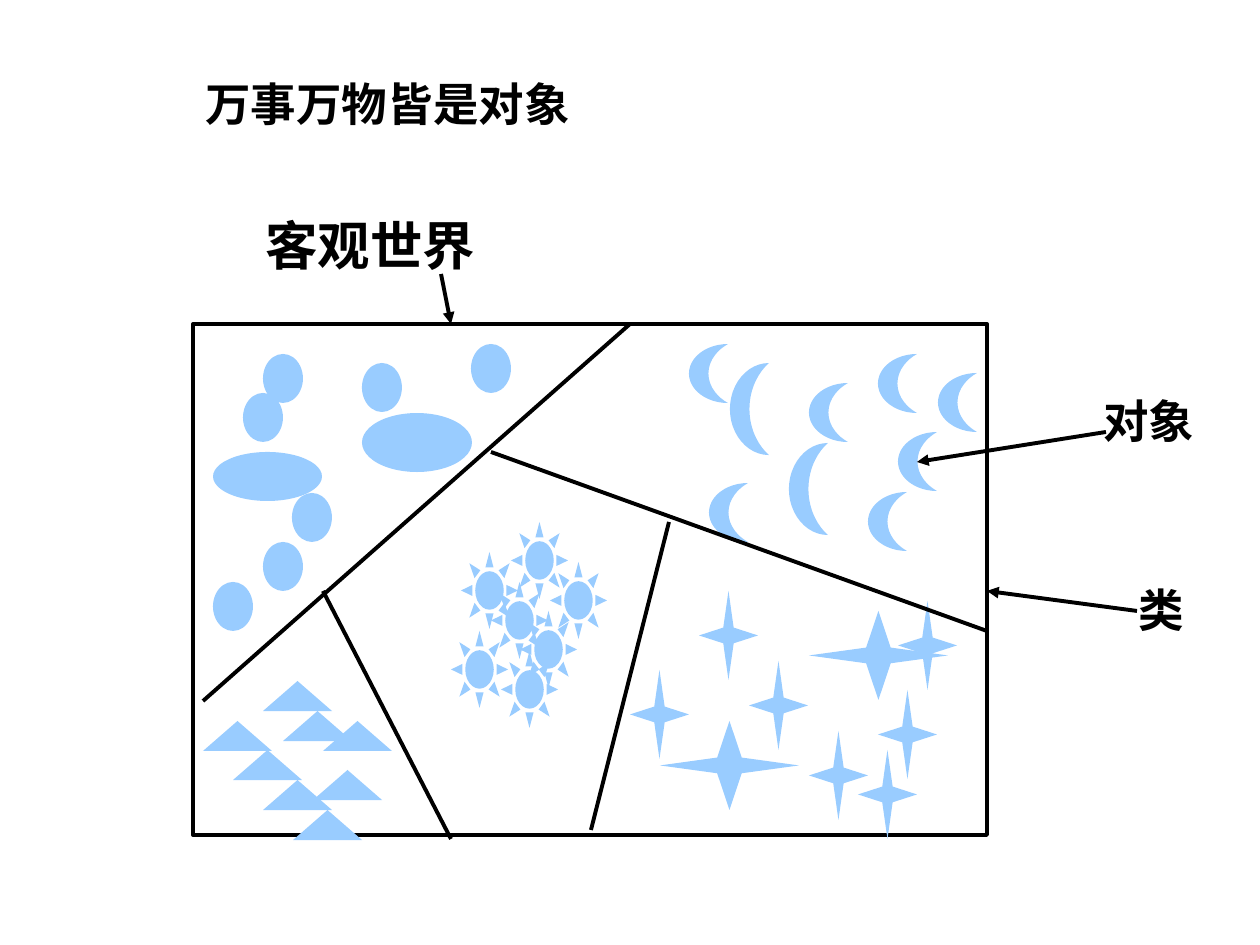
"""Build a slide that sorts the objects of the world into classes."""
from lxml.etree import SubElement
from pptx import Presentation
from pptx.dml.color import RGBColor
from pptx.enum.shapes import MSO_CONNECTOR as Connector, MSO_SHAPE as Shape
from pptx.enum.text import MSO_AUTO_SIZE as AutoSize
from pptx.oxml.ns import qn
from pptx.util import Pt

EMU_PER_PX = 914400 / 126
BLACK = "000000"
SKY = "99CCFF"


def px(*lengths):
    return [round(length * EMU_PER_PX) for length in lengths]


def paint(color_format, color):
    color_format.rgb = RGBColor.from_string(color)


deck = Presentation()
deck.slide_width, deck.slide_height = px(1260, 945)
slide = deck.slides.add_slide(deck.slide_layouts[6])

world = slide.shapes.add_shape(Shape.RECTANGLE, *px(193, 324, 794, 511))
world.shadow.inherit = False
world.fill.background()
paint(world.line.color, BLACK)
world.line.width = Pt(2.25)

classes = [
    (Shape.OVAL, None, 40, 49, [(362, 363), (292, 493), (213, 582), (243, 393),
                                (263, 542), (471, 344), (263, 354)]),
    (Shape.OVAL, None, 110, 59, [(362, 413)]),
    (Shape.OVAL, None, 109, 49, [(213, 452)]),
    (Shape.STAR_4_POINT, 0.125, 59, 89, [(878, 690), (630, 670), (699, 591), (898, 601),
                                         (749, 661), (809, 731), (858, 750)]),
    (Shape.STAR_4_POINT, 0.125, 139, 89, [(660, 721), (809, 611)]),
    (Shape.MOON, 0.5, 39, 59, [(938, 373), (868, 492), (709, 483), (689, 344),
                               (898, 432), (809, 383), (878, 354)]),
    (Shape.MOON, 0.5, 39, 92, [(789, 443), (730, 363)]),
    (Shape.ISOSCELES_TRIANGLE, 0.5, 69, 30, [(203, 721), (233, 750), (263, 780), (293, 810),
                                             (263, 681), (323, 721), (313, 770), (283, 711)]),
    (Shape.SUN, 0.25, 57, 77, [(461, 552), (491, 582), (451, 631), (520, 611),
                               (511, 522), (550, 562), (501, 651)]),
]
for kind, adjustment, width, height, places in classes:
    for left, top in places:
        member = slide.shapes.add_shape(kind, *px(left, top, width, height))
        member.shadow.inherit = False
        member.fill.solid()
        paint(member.fill.fore_color, SKY)
        member.line.fill.background()
        if adjustment is not None:
            member.adjustments[0] = adjustment

borders = [(203, 701, 630, 324), (323, 591, 451, 839),
           (491, 452, 987, 631), (669, 522, 591, 830)]
pointers = [(441, 274, 451, 324), (1106, 432, 917, 462), (1137, 611, 987, 591)]
for ends in borders + pointers:
    stroke = slide.shapes.add_connector(Connector.STRAIGHT, *px(*ends))
    paint(stroke.line.color, BLACK)
    stroke.line.width = Pt(2.25)
    properties = stroke.line._get_or_add_ln()
    if ends in pointers:
        SubElement(properties, qn("a:tailEnd"), type="triangle")
    SubElement(properties.getparent(), qn("a:effectLst"))

labels = [
    ("客观世界", 30, 253, 214, 536, 69),
    ("对象", 26, 1091, 393, 169, 62),
    ("类", 26, 1126, 582, 134, 62),
    ("万事万物皆是对象", 26, 193, 76, 675, 62),
]
for wording, size, *box in labels:
    frame = slide.shapes.add_textbox(*px(*box)).text_frame
    frame.word_wrap = True
    frame.auto_size = AutoSize.SHAPE_TO_FIT_TEXT
    frame.text = wording
    paragraph = frame.paragraphs[0]
    paragraph.line_spacing = 0.9
    font = paragraph.runs[0].font
    font.name = "Lato"
    font.size = Pt(size)
    font.bold = True
    paint(font.color, BLACK)

deck.save("out.pptx")
